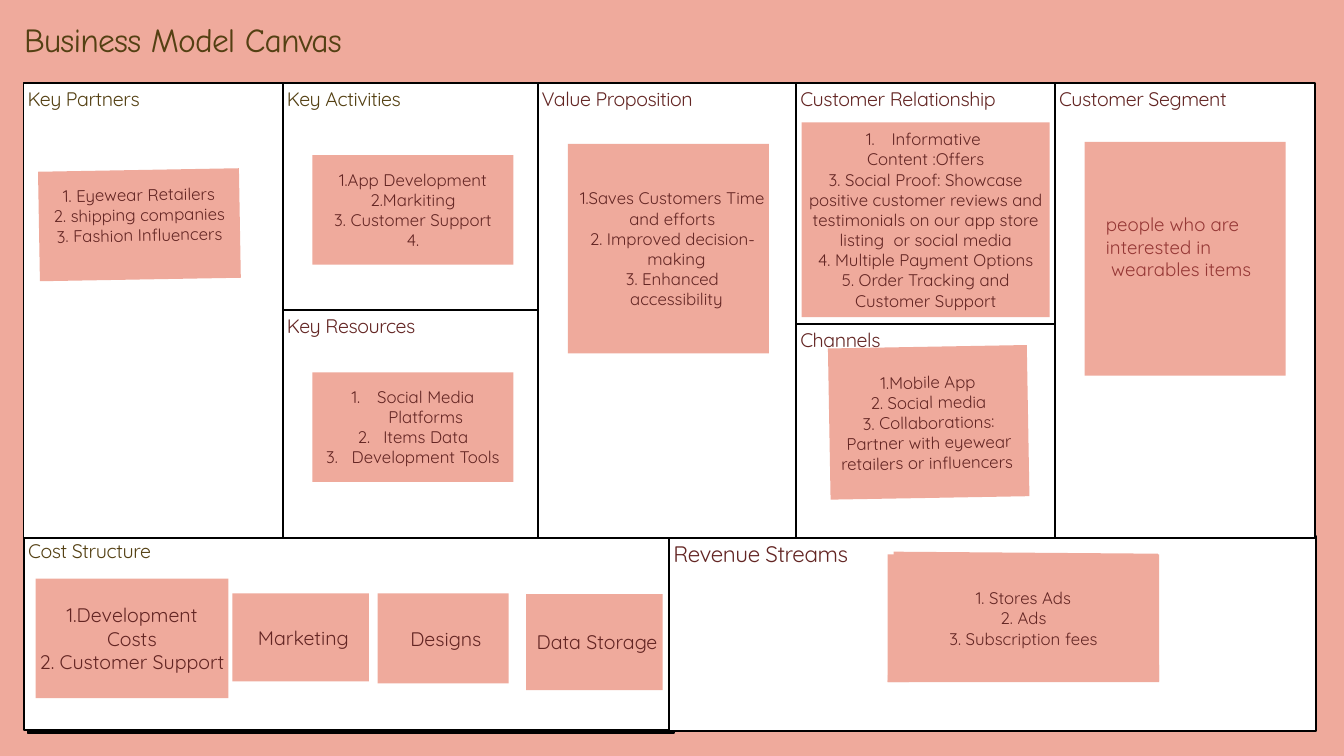
from lxml.etree import SubElement
from pptx import Presentation
from pptx.dml.color import RGBColor
from pptx.enum.shapes import MSO_SHAPE as Shape
from pptx.enum.text import MSO_ANCHOR as Anchor, MSO_AUTO_SIZE as AutoSize, PP_ALIGN as Align
from pptx.oxml.ns import qn
from pptx.util import Inches, Pt

PINK = RGBColor(0xEF, 0xAA, 0x9C)
WHITE = RGBColor(0xFF, 0xFF, 0xFF)
BLACK = RGBColor(0x00, 0x00, 0x00)
OLIVE = RGBColor(0x54, 0x40, 0x13)
MAROON = RGBColor(0x63, 0x25, 0x23)
BRICK = RGBColor(0x95, 0x37, 0x35)
BODY_FONT = "Quicksand"
INSET = 0.06

# heading, (left, top, width, height), heading colour, heading size
PANELS = [
    ("Cost Structure", (0.36, 7.96, 9.62, 2.9), OLIVE, 21),
    ("Revenue Streams", (9.96, 7.98, 9.62, 2.9), MAROON, 24),
    ("Key Partners", (0.35, 1.23, 3.87, 6.78), OLIVE, 21),
    ("Key Activities", (4.21, 1.23, 3.87, 3.4), OLIVE, 21),
    ("Key Resources", (4.21, 4.61, 3.87, 3.4), MAROON, 21),
    ("Value Proposition", (8, 1.23, 3.87, 6.78), MAROON, 21),
    ("Customer Relationship", (11.85, 1.23, 3.87, 3.71), MAROON, 21),
    ("Channels", (11.85, 4.82, 3.87, 3.19), MAROON, 21),
    ("Customer Segment", (15.7, 1.23, 3.87, 6.78), MAROON, 21),
]


def style_paragraph(para, size, color, font=BODY_FONT, align=Align.LEFT, spacing=0):
    """Format one paragraph; spacing is between letters, in points."""
    para.alignment = align
    para.line_spacing = Pt(size * 1.2)
    para.font.name = font
    para.font.size = Pt(size)
    para.font.color.rgb = color
    if spacing:
        for span in para.runs:
            span.font._element.set("spc", str(round(spacing * 100)))


def indent(para, margin, first_line):
    properties = para._p.get_or_add_pPr()
    properties.set("marL", str(Inches(margin)))
    properties.set("indent", str(Inches(first_line)))


def number(para):
    indent(para, 0.38, -0.38)
    properties = para._p.get_or_add_pPr()
    bullet = SubElement(properties, qn("a:buAutoNum"), type="arabicPeriod")
    default_run = properties.find(qn("a:defRPr"))
    if default_run is not None:
        default_run.addprevious(bullet)


def set_insets(frame, inset, bottom=None):
    frame.margin_left = frame.margin_top = frame.margin_right = Inches(inset)
    frame.margin_bottom = Inches(inset if bottom is None else bottom)


def add_rectangle(slide, at, fill, outline=None):
    box = slide.shapes.add_shape(Shape.RECTANGLE, *map(Inches, at))
    box.shadow.inherit = False
    box.fill.solid()
    box.fill.fore_color.rgb = fill
    if outline is None:
        box.line.fill.background()
    else:
        box.line.color.rgb = outline
        box.line.width = Pt(2)
    return box


def add_panel(slide, heading, at, color, size):
    frame = add_rectangle(slide, at, WHITE, BLACK).text_frame
    frame.word_wrap = True
    frame.vertical_anchor = Anchor.TOP
    set_insets(frame, INSET)
    frame.text = heading
    style_paragraph(frame.paragraphs[0], size, color, spacing=-0.02 * size)


def add_note(slide, at, lines=(), size=18, rotation=0, bottom=INSET):
    """Add a sticky note and return its paragraphs."""
    box = add_rectangle(slide, at, PINK)
    box.rotation = rotation
    if not lines:
        return ()
    frame = box.text_frame
    frame.word_wrap = True
    frame.vertical_anchor = Anchor.MIDDLE
    set_insets(frame, INSET, bottom)
    frame.text = "\n".join(lines)
    for para in frame.paragraphs:
        style_paragraph(para, size, MAROON, align=Align.CENTER)
    return frame.paragraphs


def add_curled_edge(slide, corners):
    """Add the paper edge that shows above a note."""
    points = [(Inches(x), Inches(y)) for x, y in corners]
    builder = slide.shapes.build_freeform(*points[0])
    builder.add_line_segments(points[1:], close=True)
    paper = builder.convert_to_shape()
    paper.shadow.inherit = False
    paper.fill.solid()
    paper.fill.fore_color.rgb = PINK
    paper.line.fill.background()


def add_title(slide, text):
    title = slide.shapes.title
    title.left, title.top, title.width, title.height = map(Inches, (0.36, 0.28, 5.97, 0.6))
    frame = title.text_frame
    frame.text = text
    frame.auto_size = AutoSize.NONE
    frame.vertical_anchor = Anchor.TOP
    set_insets(frame, 0)
    style_paragraph(frame.paragraphs[0], 36, OLIVE, "Comic Neue", spacing=-0.9)


def add_segment_text(slide):
    frame = slide.shapes.add_textbox(*map(Inches, (16.36, 3.12, 2.99, 1.11))).text_frame
    frame.word_wrap = True
    frame.text = "people who are\ninterested in\n wearables items"
    for para in frame.paragraphs:
        style_paragraph(para, 20, BRICK)
        para.line_spacing = 1.0


def add_upper_notes(slide):
    add_note(slide, (0.58, 2.53, 2.99, 1.63), [
        "1. Eyewear Retailers", "2. shipping companies", "3. Fashion Influencers",
    ], rotation=359, bottom=INSET + 0.3)
    add_note(slide, (4.65, 2.31, 2.99, 1.63), [
        "1.App Development", "2.Markiting", "3. Customer Support", "4.",
    ])
    resources = add_note(slide, (4.65, 5.54, 2.99, 1.63), [
        "Social Media Platforms", "Items Data", "Development Tools",
    ])
    for para in resources:
        number(para)
    values = add_note(slide, (8.45, 2.14, 2.99, 3.12), [
        "1.Saves Customers Time and efforts",
        "2. Improved decision-making",
        "3. Enhanced accessibility",
    ])
    for para, margins in zip(values, [(0.12, 0), (0.24, -0.12), (0.24, -0.12)]):
        para.level = 1
        indent(para, *margins)
    add_note(slide, (16.14, 2.11, 2.99, 3.48))
    relationship = add_note(slide, (11.93, 1.82, 3.69, 2.9), [
        "Informative ",
        "Content :Offers",
        "3. Social Proof: Showcase positive customer reviews and testimonials "
        "on our app store listing  or social media",
        "4. Multiple Payment Options",
        "5. Order Tracking and Customer Support",
    ])
    number(relationship[0])
    add_note(slide, (12.34, 5.16, 2.96, 2.25), [
        "1.Mobile App", "2. Social media",
        "3. Collaborations: Partner with eyewear retailers or influencers ",
    ], rotation=359)


def add_lower_notes(slide):
    add_note(slide, (3.46, 8.83, 2.03, 1.31), [" Marketing"], 21)
    add_note(slide, (0.53, 8.61, 2.87, 1.78), ["1.Development Costs", "2. Customer Support"], 21)
    add_curled_edge(slide, [(13.3, 8.21), (17.23, 8.24), (17.25, 10.14), (13.21, 10.15)])
    add_note(slide, (13.21, 8.25, 4.04, 1.9), ["1. Stores Ads", "2. Ads", "3. Subscription fees"])
    add_note(slide, (5.62, 8.83, 1.95, 1.34), [" Designs"], 21)
    add_note(slide, (7.83, 8.84, 2.03, 1.43), [" Data Storage "], 21)


def main():
    deck = Presentation()
    deck.slide_width, deck.slide_height = Inches(20), Inches(11.25)
    slide = deck.slides.add_slide(deck.slide_layouts[5])
    slide.background.fill.solid()
    slide.background.fill.fore_color.rgb = PINK

    add_title(slide, "Business Model Canvas")
    add_rectangle(slide, (0.41, 8.02, 9.62, 2.89), BLACK, BLACK)
    for panel in PANELS:
        add_panel(slide, *panel)
    add_upper_notes(slide)
    add_lower_notes(slide)
    add_segment_text(slide)
    deck.save("out.pptx")


if __name__ == "__main__":
    main()
